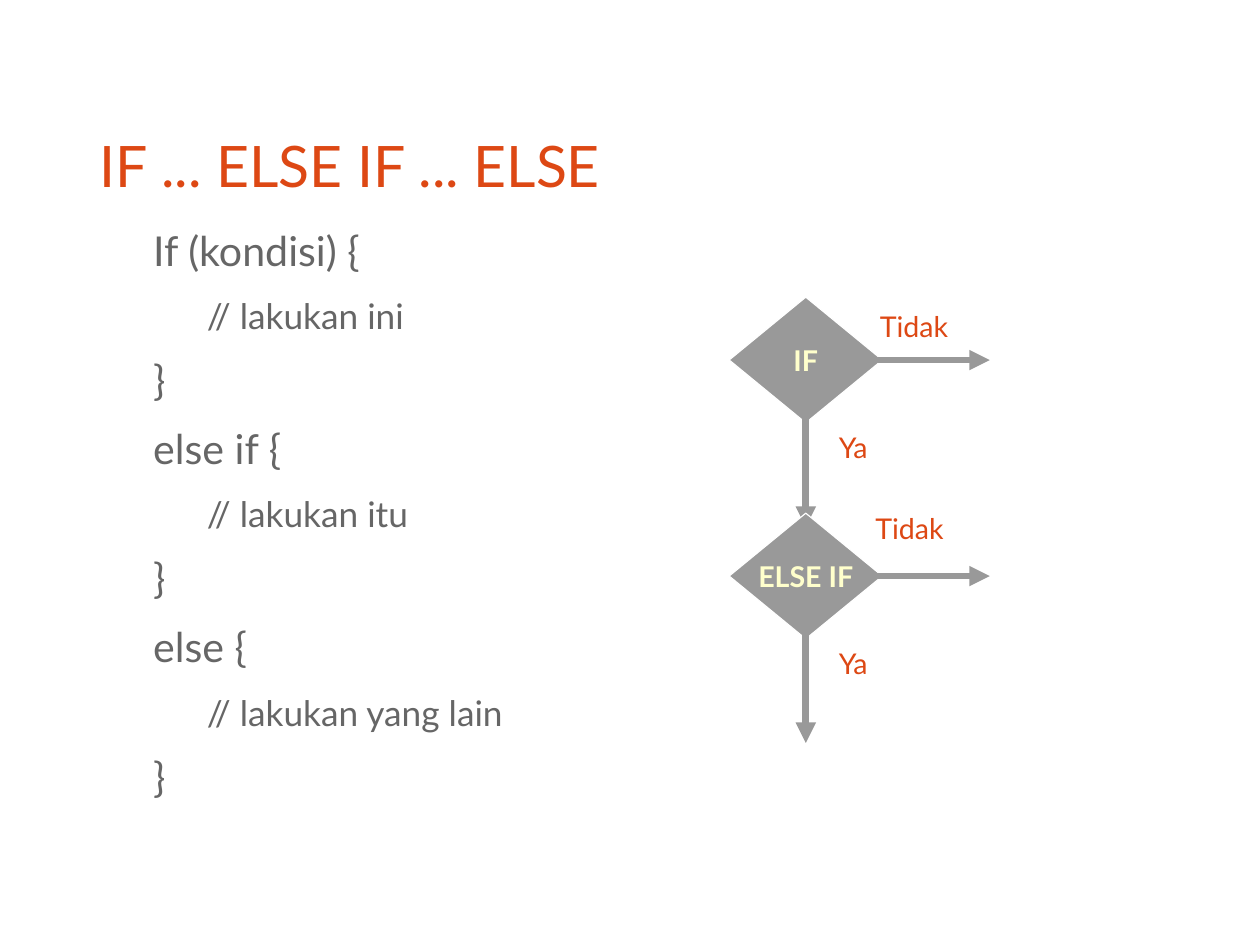
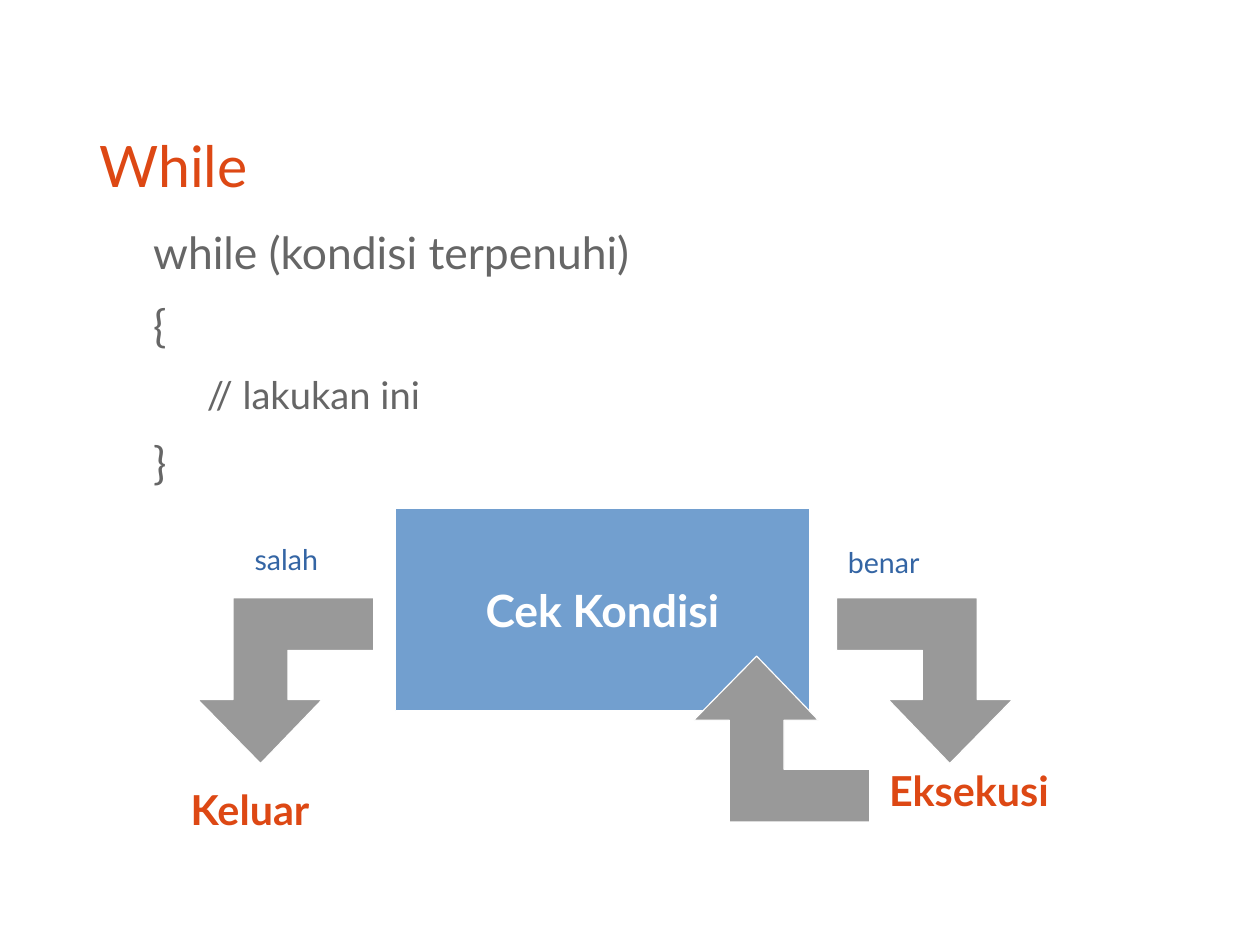
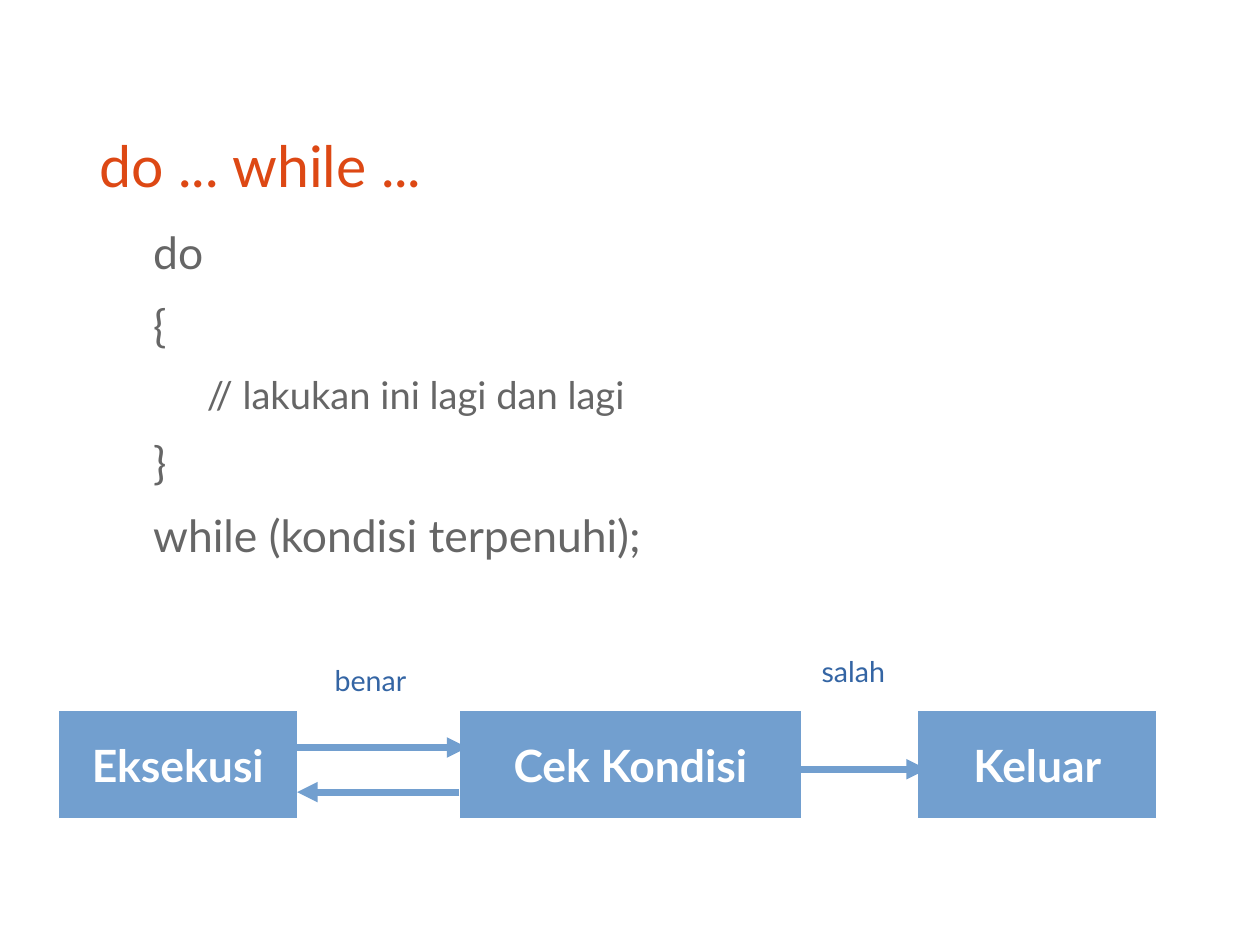
import dataclasses

import pptx
import pptx.dml.color
import pptx.enum.shapes
import pptx.enum.text
import pptx.oxml
import pptx.oxml.ns
import pptx.util

Inches = pptx.util.Inches
Pt = pptx.util.Pt
Preset = pptx.enum.shapes.MSO_SHAPE


@dataclasses.dataclass(frozen=True)
class Theme:
    """Colours, font and type sizes shared by the slides."""
    font: str = "Lato"
    orange: str = "DD4814"
    body: str = "666666"
    gray: str = "999999"
    cream: str = "FFFFCC"
    sky: str = "729FCF"
    blue: str = "3465A4"
    white: str = "FFFFFF"
    title_size: float = 36
    box_size: float = 28
    outcome_size: float = 26
    label_size: float = 18
    arrow_width: float = 4.31


THEME = Theme()
# The page is metric: 28 by 21 cm, or 11.02 by 8.27 inches
SLIDE_WIDTH = pptx.util.Cm(28)
SLIDE_HEIGHT = pptx.util.Cm(21)
TITLE_BOX = (0.87, 1.02, 9.25, 0.84)
CODE_BOX = (0.87, 1.97, 9.25, 4.76)
CODE_INDENT = 0.47
CODE_SPACING = (12.4, 11.3)
LABEL_SIZE = (1.34, 0.44)
OUTCOME_SIZE = (2.28, 0.59)

# Code lines: (level, text); type sizes: one per level
IF_TITLE = "IF ... ELSE IF ... ELSE"
IF_SIZES = (25.9, 22.2)
IF_CODE = [
    (0, "If (kondisi) {"), (1, "// lakukan ini"), (0, "}"),
    (0, "else if {"), (1, "// lakukan itu"), (0, "}"),
    (0, "else {"), (1, "// lakukan yang lain"), (0, "}"),
]
# Decisions: (text, left and top of the "Tidak" label)
DECISIONS = [("IF", 7.6, 2.65), ("ELSE IF", 7.56, 4.42)]
DECISION_LEFT, DECISION_TOP, DECISION_STEP = 6.38, 2.6, 1.89
DECISION_SIZE = (1.34, 1.1)

LOOP_SIZES = (28, 24)
WHILE_TITLE = "While"
WHILE_CODE = [(0, "while (kondisi terpenuhi)"), (0, "{"),
              (1, "// lakukan ini"), (0, "}")]
WHILE_CHECK = ("Cek Kondisi", (3.46, 4.45, 3.62, 1.77))
WHILE_OUTCOMES = [("Keluar", 1.57, 6.81), ("Eksekusi", 7.68, 6.65)]
WHILE_LABELS = [("salah", 2.13, 4.69), ("benar", 7.32, 4.72)]

# Bent arrow that runs right, then down
BENT_SIZE = (1.54, 1.45)
BENT_OUTLINE = [(0, 0), (1.23, 0), (1.23, 0.89), (1.54, 0.89), (0.99, 1.45),
                (0.45, 0.89), (0.75, 0.89), (0.75, 0.46), (0, 0.46)]
# Bent arrows: (left, top, mirrored sideways, mirrored top to bottom)
BENT_ARROWS = [(6.07, 5.74, True, True), (7.32, 5.23, False, False),
               (1.73, 5.23, True, False)]

DO_TITLE = "do ... while ..."
DO_CODE = [(0, "do"), (0, "{"), (1, "// lakukan ini lagi dan lagi"),
           (0, "}"), (0, "while (kondisi terpenuhi);")]
DO_ROW = (6.22, 0.94)
# Boxes in the row: (text, left, width)
DO_BOXES = [("Cek Kondisi", 4.02, 2.99), ("Keluar", 8.03, 2.09),
            ("Eksekusi", 0.51, 2.09)]
DO_LABELS = [("benar", 2.83, 5.75), ("salah", 7.09, 5.67)]
# Horizontal arrows: (start x, end x, y)
DO_ARROWS = [(4.02, 2.6, 6.93), (2.52, 4.09, 6.54), (7.01, 8.11, 6.73)]


def color(code):
    """Turn a hex code into a colour."""
    return pptx.dml.color.RGBColor.from_string(code)


def inches(*values):
    """Convert numbers to lengths."""
    return [Inches(value) for value in values]


def format_font(paragraph, size, code, bold=False):
    """Set the font of a whole paragraph."""
    font = paragraph.font
    font.name, font.size, font.bold = THEME.font, Pt(size), bold
    font.color.rgb = color(code)


def clear_insets(frame):
    """Remove the inner margins of a text frame."""
    frame.margin_left = frame.margin_right = 0
    frame.margin_top = frame.margin_bottom = 0


def add_code(slide, lines, sizes):
    """Add code lines, indented by level."""
    frame = slide.shapes.add_textbox(*inches(*CODE_BOX)).text_frame
    frame.word_wrap = True
    clear_insets(frame)
    for index, (level, text) in enumerate(lines):
        paragraph = frame.add_paragraph() if index else frame.paragraphs[0]
        paragraph.text = text
        paragraph.level = level
        paragraph.space_after = Pt(CODE_SPACING[level])
        properties = paragraph._p.get_or_add_pPr()
        properties.set("marL", str(Inches(CODE_INDENT * (level + 1))))
        properties.set("indent", "0")
        format_font(paragraph, sizes[level], THEME.body)


def add_code_slide(presentation, title, lines, sizes):
    """Add a slide with the shared title style and a code listing."""
    slide = presentation.slides.add_slide(presentation.slide_layouts[5])
    shape = slide.shapes.title
    shape.left, shape.top, shape.width, shape.height = inches(*TITLE_BOX)
    frame = shape.text_frame
    frame.text = title
    frame.auto_size = pptx.enum.text.MSO_AUTO_SIZE.NONE
    frame.vertical_anchor = pptx.enum.text.MSO_ANCHOR.MIDDLE
    clear_insets(frame)
    frame.paragraphs[0].alignment = pptx.enum.text.PP_ALIGN.LEFT
    format_font(frame.paragraphs[0], THEME.title_size, THEME.orange)
    add_code(slide, lines, sizes)
    return slide


def add_label(slide, text, left, top, code, size=THEME.label_size,
              box=LABEL_SIZE, bold=False):
    """Add a short text beside the diagram parts."""
    frame = slide.shapes.add_textbox(*inches(left, top, *box)).text_frame
    frame.word_wrap = True
    frame.text = text
    format_font(frame.paragraphs[0], size, code, bold)


def paint(shape, fill):
    """Give a shape a flat fill and a white hairline."""
    shape.shadow.inherit = False
    shape.fill.solid()
    shape.fill.fore_color.rgb = color(fill)
    shape.line.color.rgb = color(THEME.white)
    shape.line.width = Pt(0)


def add_node(slide, preset, text, box, fill, size, code):
    """Add a flowchart node with centred bold text."""
    shape = slide.shapes.add_shape(preset, *inches(*box))
    paint(shape, fill)
    frame = shape.text_frame
    frame.text = text
    frame.word_wrap = False
    frame.vertical_anchor = pptx.enum.text.MSO_ANCHOR.MIDDLE
    frame.paragraphs[0].alignment = pptx.enum.text.PP_ALIGN.CENTER
    format_font(frame.paragraphs[0], size, code, bold=True)


def add_box(slide, text, box):
    """Add a blue process box."""
    add_node(slide, Preset.RECTANGLE, text, box, THEME.sky,
             THEME.box_size, THEME.white)


def add_arrow(slide, start, end, code):
    """Add a straight arrow from start to end."""
    connector = slide.shapes.add_connector(
        pptx.enum.shapes.MSO_CONNECTOR.STRAIGHT, *inches(*start, *end))
    connector.line.color.rgb = color(code)
    connector.line.width = Pt(THEME.arrow_width)
    line = connector.line._get_or_add_ln()
    line.append(pptx.oxml.parse_xml(
        f'<a:tailEnd {pptx.oxml.ns.nsdecls("a")} type="triangle"/>'))
    connector._element.spPr.append(pptx.oxml.parse_xml(
        f'<a:effectLst {pptx.oxml.ns.nsdecls("a")}/>'))


def add_bent_arrow(slide, left, top, flip_x, flip_y):
    """Add a bent arrow, mirrored as asked."""
    width, height = BENT_SIZE
    points = [inches(left + (width - x if flip_x else x),
                     top + (height - y if flip_y else y))
              for x, y in BENT_OUTLINE]
    builder = slide.shapes.build_freeform(*points[0])
    builder.add_line_segments(points[1:], close=True)
    paint(builder.convert_to_shape(), THEME.gray)


def build_if_slide(presentation):
    """Build the branching slide with its column of decisions."""
    slide = add_code_slide(presentation, IF_TITLE, IF_CODE, IF_SIZES)
    width, height = DECISION_SIZE
    center = DECISION_LEFT + width / 2
    for index, (text, no_left, no_top) in enumerate(DECISIONS):
        top = DECISION_TOP + index * DECISION_STEP
        middle = top + height / 2
        add_node(slide, Preset.DIAMOND, text,
                 (DECISION_LEFT, top, width, height), THEME.gray,
                 THEME.label_size, THEME.cream)
        add_arrow(slide, (center, top + 1.06), (center, top + 2.01), THEME.gray)
        add_arrow(slide, (7.64, middle), (8.66, middle), THEME.gray)
        add_label(slide, "Ya", 7.24, top + 1.11, THEME.orange)
        add_label(slide, "Tidak", no_left, no_top, THEME.orange)


def build_while_slide(presentation):
    """Build the while slide with its bent arrows."""
    slide = add_code_slide(presentation, WHILE_TITLE, WHILE_CODE, LOOP_SIZES)
    add_box(slide, *WHILE_CHECK)
    for arrow in BENT_ARROWS:
        add_bent_arrow(slide, *arrow)
    for outcome in WHILE_OUTCOMES:
        add_label(slide, *outcome, THEME.orange, THEME.outcome_size,
                  OUTCOME_SIZE, bold=True)
    for label in WHILE_LABELS:
        add_label(slide, *label, THEME.blue)


def build_do_slide(presentation):
    """Build the do-while slide with its row of boxes."""
    slide = add_code_slide(presentation, DO_TITLE, DO_CODE, LOOP_SIZES)
    top, height = DO_ROW
    for text, left, width in DO_BOXES:
        add_box(slide, text, (left, top, width, height))
    for label in DO_LABELS:
        add_label(slide, *label, THEME.blue)
    for start, end, y in DO_ARROWS:
        add_arrow(slide, (start, y), (end, y), THEME.sky)


def main():
    """Build and save the presentation."""
    presentation = pptx.Presentation()
    presentation.slide_width = SLIDE_WIDTH
    presentation.slide_height = SLIDE_HEIGHT
    build_if_slide(presentation)
    build_while_slide(presentation)
    build_do_slide(presentation)
    presentation.save("out.pptx")


main()
